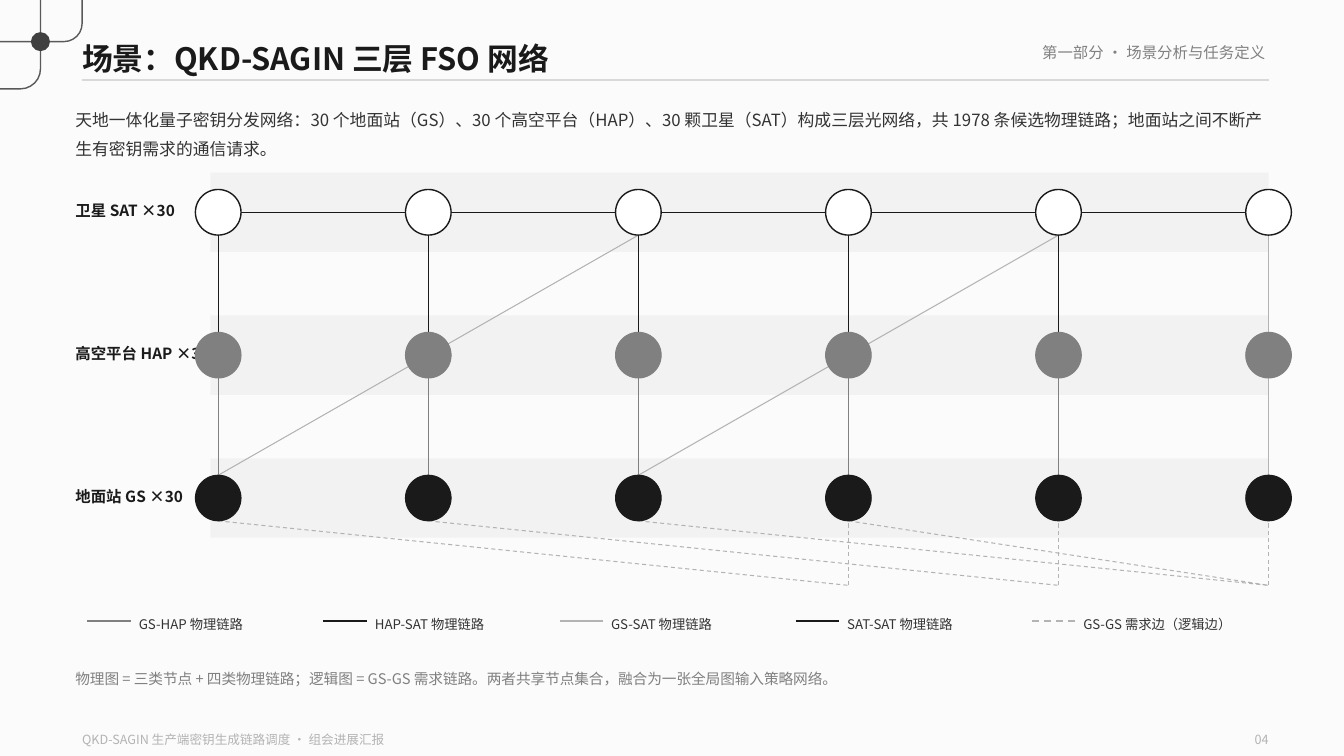
import pptx
import pptx.dml.color
import pptx.enum.dml
import pptx.enum.shapes
import pptx.enum.text
import pptx.oxml
import pptx.oxml.ns
import pptx.util
import lxml.etree

FONT = "Noto Sans CJK SC"
INK, DARK, GREY, PALE, RULE, BAND = "1A1A1A", "333333", "808080", "B3B3B3", "D9D9D9", "F2F2F2"
LAYERS = [
    ("卫星 SAT ×30", "FFFFFF", INK, 1),
    ("高空平台 HAP ×30", GREY, GREY, 0.75),
    ("地面站 GS ×30", INK, INK, 0.75),
]
LEGEND = [
    ("GS-HAP 物理链路", GREY, False),
    ("HAP-SAT 物理链路", INK, False),
    ("GS-SAT 物理链路", PALE, False),
    ("SAT-SAT 物理链路", INK, False),
    ("GS-GS 需求边（逻辑边）", PALE, True),
]
COLUMNS = 6
GS_SAT_LINKS = [(0, 2), (2, 4), (5, 5)]
DEMANDS = [(0, 3), (1, 4), (2, 5), (3, 5)]


def cm(*lengths):
    """Turn centimetre numbers into lengths."""
    return [pptx.util.Cm(length) for length in lengths]


def rgb(colour):
    """Turn a hex string into a colour."""
    return pptx.dml.color.RGBColor.from_string(colour)


def add_text(slide, box, wording, size, colour, bold=False, spacing=1.3, right=False):
    """Write one paragraph in a box without margins."""
    frame = slide.shapes.add_textbox(*cm(*box)).text_frame
    frame.word_wrap = True
    frame.margin_left = frame.margin_right = frame.margin_top = frame.margin_bottom = 0
    frame.auto_size = pptx.enum.text.MSO_AUTO_SIZE.SHAPE_TO_FIT_TEXT
    frame.text = wording
    paragraph = frame.paragraphs[0]
    paragraph.line_spacing = spacing
    if right:
        paragraph.alignment = pptx.enum.text.PP_ALIGN.RIGHT
    for run in paragraph.runs:
        run.font.name = FONT
        run.font.size = pptx.util.Pt(size)
        run.font.bold = bold
        run.font.color.rgb = rgb(colour)
        east_asian = lxml.etree.SubElement(run.font._element, pptx.oxml.ns.qn("a:ea"))
        east_asian.set("typeface", FONT)


def add_figure(slide, kind, box, fill=None, line=None, width=1):
    """Draw a preset shape with an optional fill and outline."""
    figure = slide.shapes.add_shape(kind, *cm(*box))
    figure.shadow.inherit = False
    if fill:
        figure.fill.solid()
        figure.fill.fore_color.rgb = rgb(fill)
    else:
        figure.fill.background()
    if line:
        figure.line.color.rgb = rgb(line)
        figure.line.width = pptx.util.Pt(width)
    else:
        figure.line.fill.background()
    return figure


def add_link(slide, start, end, colour, width=0.75, dashed=False):
    """Draw a straight line between two points."""
    link = slide.shapes.add_connector(
        pptx.enum.shapes.MSO_CONNECTOR.STRAIGHT, *cm(*start, *end))
    link.line.color.rgb = rgb(colour)
    link.line.width = pptx.util.Pt(width)
    if dashed:
        link.line.dash_style = pptx.enum.dml.MSO_LINE.DASH
    lxml.etree.SubElement(link._element.spPr, pptx.oxml.ns.qn("a:effectLst"))


def draw_corner(slide, box):
    """Draw the rounded frames and dot in the top left corner."""
    left, top, width, height = box
    rounded = pptx.enum.shapes.MSO_SHAPE.ROUNDED_RECTANGLE
    lower = (left - 3.48, top - 1.14, 4.5, 3.38)
    upper = (left + width - 3.69, top - 0.93, 3.69, 1.98)
    for frame, rounding in ((lower, 0.149), (upper, 0.231)):
        add_figure(slide, rounded, frame, line="595959").adjustments[0] = rounding
    dot = (left + 0.78, top + 0.81, 0.48, 0.48)
    add_figure(slide, pptx.enum.shapes.MSO_SHAPE.OVAL, dot, "404040")


def draw_header(slide, box):
    """Write the title and section name above a rule."""
    left, top, width, height = box
    add_text(slide, (left, top, 20, 1.2), "场景：QKD-SAGIN 三层 FSO 网络", 22, INK, bold=True)
    add_link(slide, (left, top + height), (left + width, top + height), RULE, 1)
    add_text(slide, (left + width - 10.48, top + 0.23, 10.4, 0.8),
             "第一部分 · 场景分析与任务定义", 11, GREY, right=True)


def draw_footer(slide, box):
    """Write the talk name and the page number."""
    left, top, width, height = box
    add_text(slide, (left, top, 16, height),
             "QKD-SAGIN 生产端密钥生成链路调度 · 组会进展汇报", 9, PALE)
    add_text(slide, (left + width - 4, top, 4, height), "04", 9, PALE, right=True)


def draw_network(slide, box):
    """Draw three layers of nodes with their links and demands."""
    left, top, width, height = box
    band_left, band_height, layer_step, radius = left + 3.4, 2, 3.6, 0.575
    right, drop = left + width, top + height
    first = band_left + 0.2
    xs = [first + column * (right - first) / (COLUMNS - 1) for column in range(COLUMNS)]
    ys = [top + band_height / 2 + layer * layer_step for layer in range(len(LAYERS))]
    sat, hap, ground = ys

    for y, (name, *_) in zip(ys, LAYERS):
        add_text(slide, (left, y - 0.42, 3.4, 0.84), name, 11, INK, bold=True)
    for y in ys:
        add_figure(slide, pptx.enum.shapes.MSO_SHAPE.RECTANGLE,
                   (band_left, y - band_height / 2, right - band_left, band_height), BAND)

    for x in xs:
        add_link(slide, (x, sat + radius), (x, hap - radius), INK)
        add_link(slide, (x, hap + radius), (x, ground - radius), GREY)
    for x, following in zip(xs, xs[1:]):
        add_link(slide, (x + radius, sat), (following - radius, sat), INK, 1)
    for station, satellite in GS_SAT_LINKS:
        add_link(slide, (xs[station], ground - radius), (xs[satellite], sat + radius), PALE)
    for source, target in DEMANDS:
        add_link(slide, (xs[source], ground + radius), (xs[target], drop), PALE, dashed=True)
    for target in sorted({target for _, target in DEMANDS}):
        add_link(slide, (xs[target], drop), (xs[target], ground + radius), PALE, dashed=True)

    for x in xs:
        for y, (_, fill, outline, thickness) in zip(ys, LAYERS):
            add_figure(slide, pptx.enum.shapes.MSO_SHAPE.OVAL,
                       (x - radius, y - radius, 2 * radius, 2 * radius),
                       fill, outline, thickness)


def draw_legend(slide, box):
    """Explain the kinds of links in equal columns."""
    left, top, width, height = box
    for index, (name, colour, dashed) in enumerate(LEGEND):
        x = left + index * width / len(LEGEND)
        add_link(slide, (x, top + 0.25), (x + 1.1, top + 0.25), colour, 1.25, dashed)
        add_text(slide, (x + 1.3, top, 4.5, height), name, 9.5, DARK)


def build_scenario(slide):
    """Place every region of the scenario slide."""
    slide.background.fill.solid()
    slide.background.fill.fore_color.rgb = rgb("FBFBFB")
    draw_corner(slide, (0, 0, 2.07, 2.24))
    draw_header(slide, (2.07, 0.71, 29.9, 1.31))
    draw_footer(slide, (2.07, 18.34, 29.9, 0.5))
    add_text(slide, (1.9, 2.54, 30.07, 1.8),
             "天地一体化量子密钥分发网络：30 个地面站（GS）、30 个高空平台（HAP）、"
             "30 颗卫星（SAT）构成三层光网络，共 1978 条候选物理链路；"
             "地面站之间不断产生有密钥需求的通信请求。", 12, DARK, spacing=1.45)
    draw_network(slide, (1.9, 4.35, 30.07, 10.4))
    draw_legend(slide, (2.2, 15.4, 29.75, 0.56))
    add_text(slide, (1.9, 16.7, 30.07, 1.2),
             "物理图 = 三类节点 + 四类物理链路；逻辑图 = GS-GS 需求链路。"
             "两者共享节点集合，融合为一张全局图输入策略网络。", 10.5, GREY, spacing=1.4)


def main():
    """Create the presentation and save it."""
    deck = pptx.Presentation()
    deck.slide_width, deck.slide_height = cm(33.87, 19.05)
    build_scenario(deck.slides.add_slide(deck.slide_layouts[6]))
    deck.save("out.pptx")


if __name__ == "__main__":
    main()
